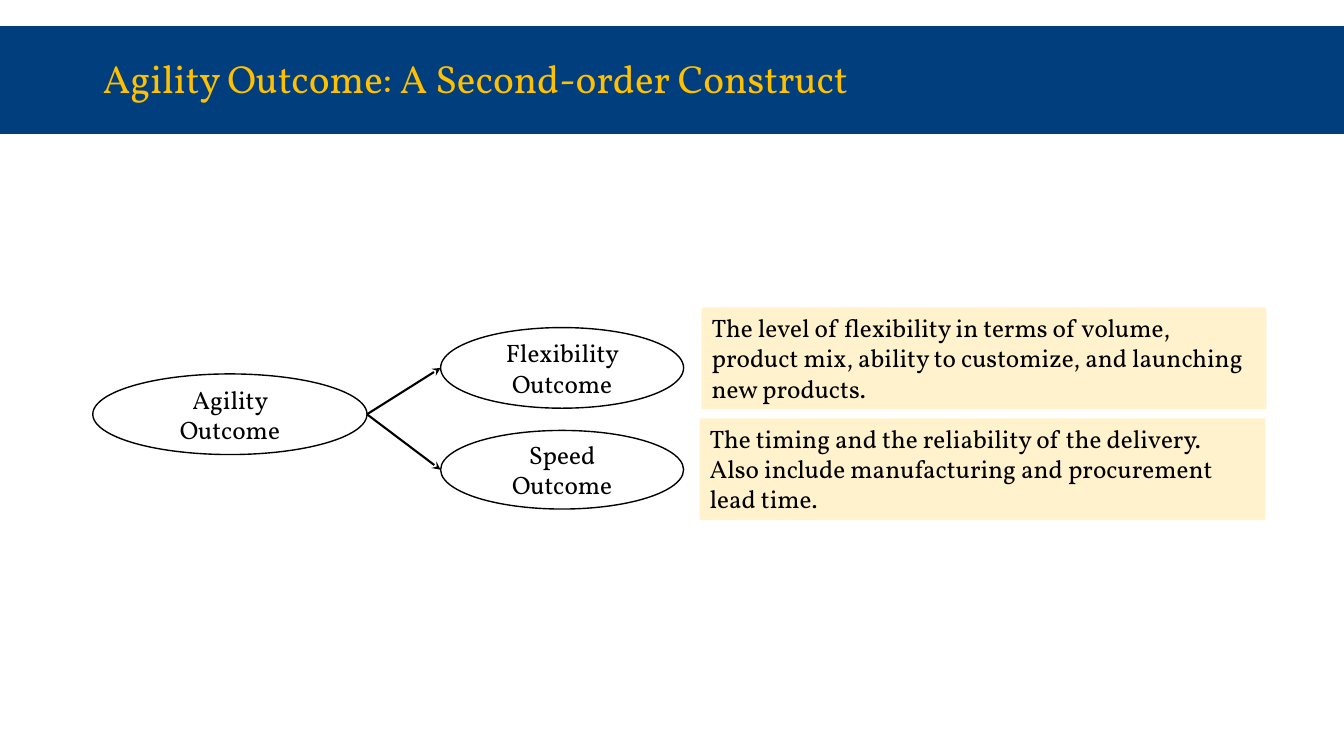
from dataclasses import dataclass

from lxml.etree import SubElement
from pptx import Presentation
from pptx.dml.color import RGBColor
from pptx.enum.shapes import MSO_CONNECTOR as Connector, MSO_SHAPE as Preset
from pptx.enum.text import MSO_ANCHOR as Anchor, MSO_AUTO_SIZE as AutoSize, PP_ALIGN as Align
from pptx.oxml.ns import qn
from pptx.shapes.autoshape import Shape
from pptx.slide import Slide
from pptx.util import Inches, Pt

COLOURS = {"band": "003E7E", "title": "FFC000", "note": "FFF2CC", "ink": "000000"}
FONT = "Vollkorn"
SLIDE_WIDTH, SLIDE_HEIGHT = 13.33, 7.5
TITLE_ONLY_LAYOUT = 5


@dataclass(frozen=True)
class Box:
    left: float
    top: float
    width: float
    height: float
    text: str = ""

    @property
    def middle(self) -> float:
        return self.top + self.height / 2


BAND = Box(0, 0.26, SLIDE_WIDTH, 1.07)
HEADING = Box(0.92, 0.4, 11.5, 0.8, "Agility Outcome: A Second-order Construct")
AGILITY = Box(0.92, 3.71, 2.72, 0.8, "Agility Outcome")
DIMENSIONS = [
    Box(4.37, 3.25, 2.41, 0.8, "Flexibility Outcome"),
    Box(4.37, 4.27, 2.41, 0.78, "Speed Outcome"),
]
DEFINITIONS = [
    Box(6.96, 3.05, 5.6, 1.01,
        "The level of flexibility in terms of volume, product mix, "
        "ability to customize, and launching new products."),
    Box(6.94, 4.15, 5.61, 1.01,
        "The timing and the reliability of the delivery. Also include "
        "manufacturing and procurement lead time."),
]


def colour(name: str) -> RGBColor:
    return RGBColor.from_string(COLOURS[name])


def apply_format(target: object, values: dict) -> None:
    for attribute, value in values.items():
        setattr(target, attribute, value)


def write_text(shape: Shape, text: str, size: float, ink: str,
               frame_format: dict, paragraph_format: dict) -> None:
    frame = shape.text_frame
    frame.text = text
    apply_format(frame, {"word_wrap": True, **frame_format})
    paragraph = frame.paragraphs[0]
    apply_format(paragraph, paragraph_format)
    font = paragraph.runs[0].font
    apply_format(font, {"name": FONT, "size": Pt(size)})
    font.color.rgb = colour(ink)


def add_box(slide: Slide, preset: Preset, box: Box,
            fill: str | None = None, outline: str | None = None) -> Shape:
    shape = slide.shapes.add_shape(
        preset, Inches(box.left), Inches(box.top), Inches(box.width), Inches(box.height))
    shape.shadow.inherit = False
    if fill:
        shape.fill.solid()
        shape.fill.fore_color.rgb = colour(fill)
    else:
        shape.fill.background()
    if outline:
        shape.line.color.rgb = colour(outline)
        shape.line.width = Pt(1)
    else:
        shape.line.fill.background()
    return shape


def add_heading(slide: Slide) -> None:
    title = slide.shapes.title
    apply_format(title, {
        "left": Inches(HEADING.left), "top": Inches(HEADING.top),
        "width": Inches(HEADING.width), "height": Inches(HEADING.height)})
    write_text(title, HEADING.text, 28, "title",
               {"vertical_anchor": Anchor.MIDDLE, "auto_size": AutoSize.NONE},
               {"alignment": Align.LEFT, "line_spacing": 0.9})
    band = add_box(slide, Preset.RECTANGLE, BAND, fill="band")
    title.element.addprevious(band.element)


def add_construct(slide: Slide, construct: Box) -> None:
    ellipse = add_box(slide, Preset.OVAL, construct, outline="ink")
    write_text(ellipse, construct.text, 18, "ink",
               {"vertical_anchor": Anchor.MIDDLE}, {"alignment": Align.CENTER})


def add_arrow(slide: Slide, source: Box, target: Box) -> None:
    """Point from the right end of source to the left end of target."""
    arrow = slide.shapes.add_connector(
        Connector.STRAIGHT,
        Inches(source.left + source.width), Inches(source.middle),
        Inches(target.left), Inches(target.middle))
    arrow.line.color.rgb = colour("ink")
    arrow.line.width = Pt(1.5)
    SubElement(arrow.line._get_or_add_ln(), qn("a:tailEnd"), type="stealth")
    SubElement(arrow.element.spPr, qn("a:effectLst"))


def add_definition(slide: Slide, definition: Box) -> None:
    note = add_box(slide, Preset.RECTANGLE, definition, fill="note")
    write_text(note, definition.text, 18, "ink",
               {"vertical_anchor": Anchor.TOP, "auto_size": AutoSize.SHAPE_TO_FIT_TEXT},
               {"alignment": Align.LEFT})


def main() -> None:
    deck = Presentation()
    apply_format(deck, {"slide_width": Inches(SLIDE_WIDTH),
                        "slide_height": Inches(SLIDE_HEIGHT)})
    slide = deck.slides.add_slide(deck.slide_layouts[TITLE_ONLY_LAYOUT])
    add_heading(slide)
    for construct in [AGILITY, *DIMENSIONS]:
        add_construct(slide, construct)
    for dimension in DIMENSIONS:
        add_arrow(slide, AGILITY, dimension)
    for definition in DEFINITIONS:
        add_definition(slide, definition)
    deck.save("out.pptx")


if __name__ == "__main__":
    main()
